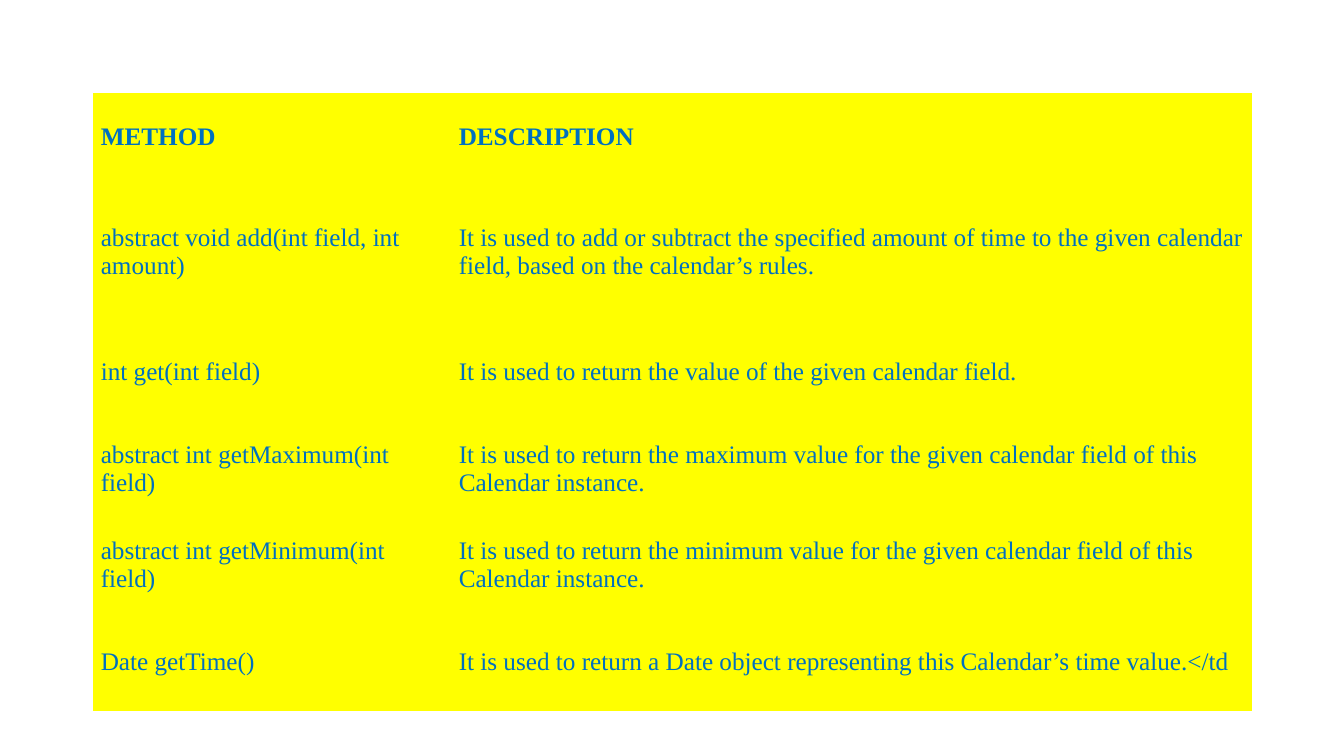
from lxml import etree
from pptx import Presentation
from pptx.dml.color import RGBColor
from pptx.enum.text import MSO_ANCHOR
from pptx.oxml.ns import qn
from pptx.util import Inches, Pt

MIDDLE = MSO_ANCHOR.MIDDLE
YELLOW = RGBColor(0xFF, 0xFF, 0x00)
BLUE = RGBColor(0x00, 0x70, 0xC0)

COLUMN_WIDTHS = [3.55, 7.95]
ROW_HEIGHTS = [0.87, 1.42] + [0.96] * 4
METHODS = [
    ("METHOD", "DESCRIPTION"),
    ("abstract void add(int field, int amount)",
     "It is used to add or subtract the specified amount of time to the given "
     "calendar field, based on the calendar’s rules."),
    ("int get(int field)",
     "It is used to return the value of the given calendar field."),
    ("abstract int getMaximum(int field)",
     "It is used to return the maximum value for the given calendar field of this "
     "Calendar instance."),
    ("abstract int getMinimum(int field)",
     "It is used to return the minimum value for the given calendar field of this "
     "Calendar instance."),
    ("Date getTime()",
     "It is used to return a Date object representing this Calendar’s time value.</td"),
]


class SlideBuilder:
    font = "Times New Roman"
    size = Pt(18)

    def __init__(self, prs):
        self.s = prs.slides.add_slide(prs.slide_layouts[6])

    def table(self, left, top, widths, heights, rows):
        frame = self.s.shapes.add_table(
            len(rows), len(widths), Inches(left), Inches(top),
            Inches(sum(widths)), Inches(sum(heights)))
        table = frame.table
        table.first_row = table.horz_banding = False
        for column, width in zip(table.columns, widths):
            column.width = Inches(width)
        for i, (row, height) in enumerate(zip(table.rows, heights)):
            row.height = Inches(height)
            for cell, text in zip(row.cells, rows[i]):
                self.cell(cell, text, header=i == 0)

    def cell(self, cell, text, header):
        cell.vertical_anchor = MIDDLE
        cell.margin_left = cell.margin_right = Inches(0.08)
        cell.margin_top = cell.margin_bottom = Inches(0.08 if header else 0.12)
        self.clear_borders(cell)
        cell.fill.solid()
        cell.fill.fore_color.rgb = YELLOW
        r = cell.text_frame.paragraphs[0].add_run()
        r.text = text
        r.font.name = self.font
        r.font.size = self.size
        r.font.bold = header
        r.font.color.rgb = BLUE

    def clear_borders(self, cell):
        tc_pr = cell._tc.get_or_add_tcPr()
        for side in ("a:lnL", "a:lnR", "a:lnT", "a:lnB"):
            line = etree.SubElement(tc_pr, qn(side))
            etree.SubElement(line, qn("a:noFill"))


def main():
    prs = Presentation()
    prs.slide_width = Inches(13.33)
    prs.slide_height = Inches(7.5)
    SlideBuilder(prs).table(0.92, 0.92, COLUMN_WIDTHS, ROW_HEIGHTS, METHODS)
    prs.save("out.pptx")


if __name__ == "__main__":
    main()
